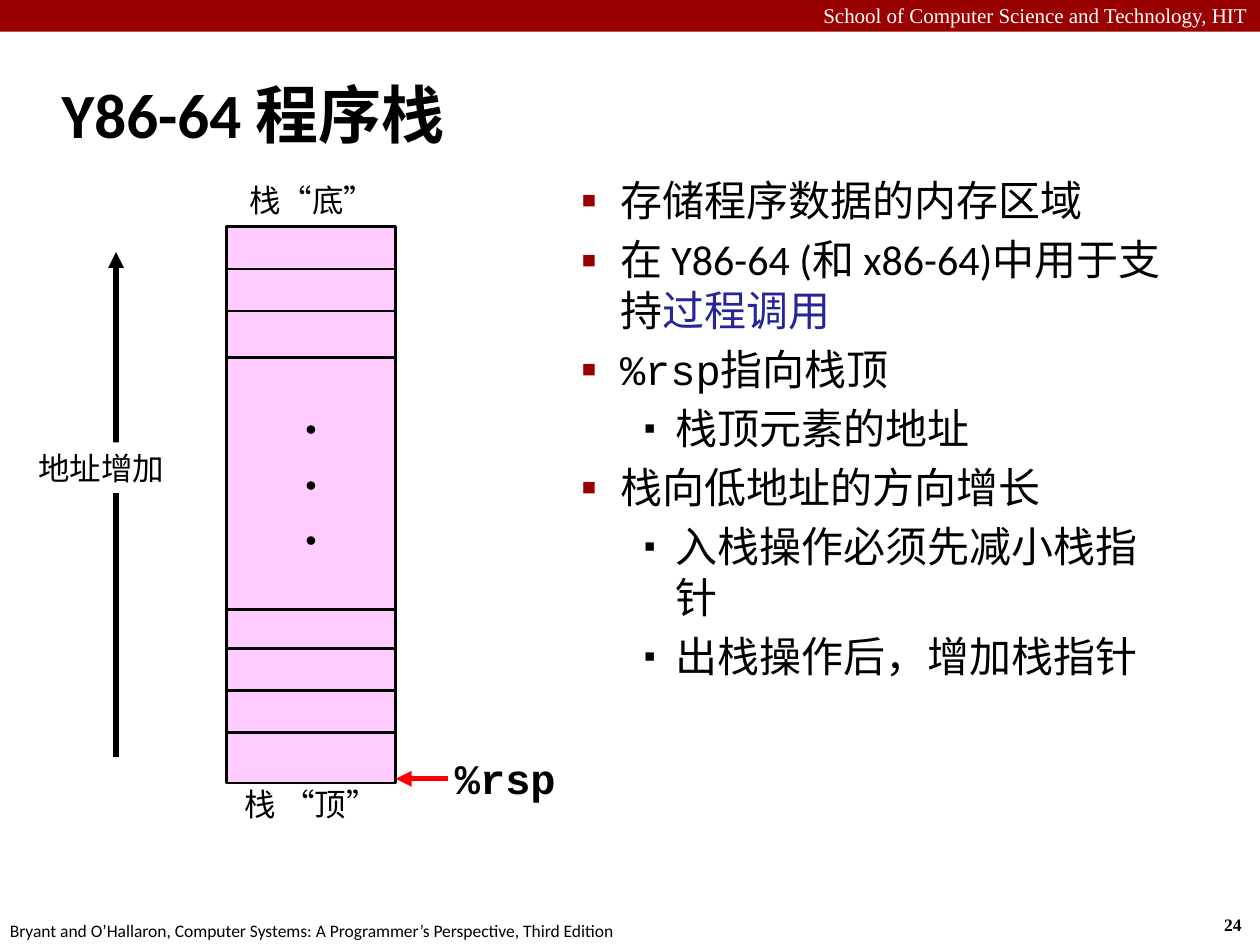
import dataclasses

import pptx
import pptx.dml.color
import pptx.enum.shapes
import pptx.enum.text
import pptx.oxml
import pptx.oxml.ns
import pptx.util

Cm, Pt = pptx.util.Cm, pptx.util.Pt
ALIGN = pptx.enum.text.PP_ALIGN
ANCHOR = pptx.enum.text.MSO_ANCHOR
AUTO = pptx.enum.text.MSO_AUTO_SIZE
RECT = pptx.enum.shapes.MSO_SHAPE.RECTANGLE
STRAIGHT = pptx.enum.shapes.MSO_CONNECTOR.STRAIGHT


@dataclasses.dataclass(frozen=True)
class Theme:
    ink: str = "000000"
    paper: str = "FFFFFF"
    brand: str = "990000"
    accent: str = "262699"
    cell: str = "FFCCFF"
    pointer: str = "FF0002"
    title_size: int = 36
    body_size: int = 24
    label_size: int = 18
    header_size: int = 12
    footer_size: int = 10
    sans: str = "Calibri"
    serif: str = "Times New Roman"
    mono: str = "Courier New"
    narrow: str = "Arial Narrow"


T = Theme()
INSET = 0.13
STACK_X, STACK_W = 4.57, 3.4
CELL_H, CELL_PITCH = 1.02, 0.85

# Level: left margin, hanging indent, bullet size in percent, bullet colour
LEVELS = {1: (2.06, -0.79, 110, T.brand), 2: (3.18, -0.64, 80, T.ink)}
POINTS = [
    (1, [("存储程序数据的内存区域", {})]),
    (1, [("在 Y86-64 (和 x86-64)中用于支持", {}), ("过程调用", {"color": T.accent})]),
    (1, [("%rsp", {"name": T.mono}), ("指向栈顶", {"name": T.mono})]),
    (2, [("栈顶元素的地址", {})]),
    (1, [("栈向低地址的方向增长", {})]),
    (2, [("入栈操作必须先减小栈指针", {})]),
    (2, [("出栈操作后，增加栈指针", {})]),
]


def rgb(value):
    return pptx.dml.color.RGBColor.from_string(value)


def set_all(obj, values):
    for name, value in values.items():
        setattr(obj, name, value)


def set_font(font, size, name, color=T.ink, bold=False):
    set_all(font, {"size": Pt(size), "name": name, "bold": bold})
    font.color.rgb = rgb(color)


def add_run(p, text, **style):
    r = p.add_run()
    r.text = text
    set_font(r.font, **style)


def set_indent(p, margin, hanging):
    pPr = p._p.get_or_add_pPr()
    pPr.set("marL", str(int(Cm(margin))))
    pPr.set("indent", str(int(Cm(hanging))))
    return pPr


def set_insets(tf, inset):
    sides = ("left", "top", "right", "bottom")
    set_all(tf, {f"margin_{side}": Cm(inset) for side in sides})


def add_rect(shapes, x, y, w, h, fill, line=None):
    sp = shapes.add_shape(RECT, Cm(x), Cm(y), Cm(w), Cm(h))
    sp.shadow.inherit = False
    sp.fill.solid()
    sp.fill.fore_color.rgb = rgb(fill)
    if line:
        sp.line.color.rgb = rgb(line)
        sp.line.width = Pt(1.5)
    else:
        sp.line.fill.background()
    return sp


def add_text(s, x, y, w, h, text, align=ALIGN.LEFT, wrap=True, inset=None, **style):
    tf = s.shapes.add_textbox(Cm(x), Cm(y), Cm(w), Cm(h)).text_frame
    set_all(tf, {"word_wrap": wrap, "auto_size": AUTO.SHAPE_TO_FIT_TEXT})
    if inset is not None:
        set_insets(tf, inset)
    p = tf.paragraphs[0]
    p.alignment = align
    add_run(p, text, **style)


def add_arrow(s, x1, y1, x2, y2, color):
    """Draw a line whose arrowhead is at its second point."""
    cx = s.shapes.add_connector(STRAIGHT, Cm(x1), Cm(y1), Cm(x2), Cm(y2))
    cx.line.color.rgb = rgb(color)
    cx.line.width = Pt(3)
    tail = pptx.oxml.parse_xml(
        f'<a:tailEnd {pptx.oxml.ns.nsdecls("a")} type="triangle"/>')
    cx.line._get_or_add_ln().append(tail)
    cx._element.spPr.append(pptx.oxml.parse_xml(
        f'<a:effectLst {pptx.oxml.ns.nsdecls("a")}/>'))


def add_bullet(p, level):
    margin, hanging, size, color = LEVELS[level]
    pPr = set_indent(p, margin, hanging)
    ns = pptx.oxml.ns.nsdecls("a")
    for xml in (
        f'<a:buClr {ns}><a:srgbClr val="{color}"/></a:buClr>',
        f'<a:buSzPct {ns} val="{size * 1000}"/>',
        f'<a:buFont {ns} typeface="Arial"/>',
        f'<a:buChar {ns} char="▪"/>',
    ):
        pPr.append(pptx.oxml.parse_xml(xml))


def add_points(s):
    tf = s.shapes.add_textbox(Cm(10.19), Cm(3.4), Cm(13.72), Cm(14.5)).text_frame
    tf.word_wrap = True
    for i, (level, runs) in enumerate(POINTS):
        p = tf.add_paragraph() if i else tf.paragraphs[0]
        p.level = level
        add_bullet(p, level)
        if i:
            p.space_before = Pt(5)
        for text, style in runs:
            add_run(p, text, **{"size": T.body_size, "name": T.sans, **style})


def add_stack(s):
    shapes = s.shapes.add_group_shape().shapes
    for top, count in ((4.57, 3), (12.22, 4)):
        for i in range(count):
            add_rect(shapes, STACK_X, top + i * CELL_PITCH, STACK_W, CELL_H,
                     T.cell, T.ink)
    tf = add_rect(shapes, STACK_X, 7.21, STACK_W, 5.08, T.cell, T.ink).text_frame
    tf.vertical_anchor = ANCHOR.MIDDLE
    set_insets(tf, INSET)
    for i in range(3):
        p = tf.add_paragraph() if i else tf.paragraphs[0]
        p.alignment = ALIGN.CENTER
        if i:
            p.space_before = Pt(10)
        add_run(p, "•", size=T.label_size, name=T.mono)


def add_title(s):
    sp = s.shapes.title
    set_all(sp, {"left": Cm(0.99), "top": Cm(1.22),
                 "width": Cm(24.41), "height": Cm(2.11)})
    tf = sp.text_frame
    set_all(tf, {"vertical_anchor": ANCHOR.MIDDLE, "auto_size": AUTO.NONE})
    p = tf.paragraphs[0]
    p.alignment = ALIGN.LEFT
    set_indent(p, 0.33, -0.33)
    add_run(p, "Y86-64 程序栈", size=T.title_size, name=T.sans, bold=True)


def add_frame(s):
    """Add the header band, page number and source line."""
    add_rect(s.shapes, 0, 0, 25.4, 0.64, T.brand)
    add_text(s, 0, -0.08, 25.4, 0.76,
             "School of Computer Science and Technology, HIT", align=ALIGN.RIGHT,
             size=T.header_size, name=T.serif, color=T.paper)
    add_text(s, 24.43, 18.31, 0.94, 0.69, "24", wrap=False,
             size=T.footer_size, name=T.serif, bold=True)
    add_text(s, -0.05, 18.42, 12.9, 0.69,
             "Bryant and O’Hallaron, Computer Systems: "
             "A Programmer’s Perspective, Third Edition",
             wrap=False, size=T.footer_size, name=T.sans)


def add_labels(s):
    label = {"inset": INSET, "size": T.label_size, "name": T.narrow}
    add_arrow(s, 2.34, 15.27, 2.34, 5.08, T.ink)
    tf = add_rect(s.shapes, 0.64, 8.92, 3.81, 1.02, T.paper).text_frame
    set_all(tf, {"word_wrap": True, "vertical_anchor": ANCHOR.TOP})
    set_insets(tf, INSET)
    tf.paragraphs[0].alignment = ALIGN.LEFT
    add_run(tf.paragraphs[0], "地址增加", size=T.label_size, name=T.narrow)
    add_text(s, STACK_X, 15.7, STACK_W, 1.02, "栈 “顶”", ALIGN.CENTER, **label)
    add_text(s, 4.62, 3.51, 3.35, 1.02, "栈“底”", ALIGN.CENTER, **label)
    add_arrow(s, 9.04, 15.7, 7.98, 15.7, T.pointer)
    add_text(s, 9.04, 15.04, 2.31, 1.27, "%rsp", wrap=False, inset=INSET,
             size=T.body_size, name=T.mono, bold=True)


def main():
    prs = pptx.Presentation()
    set_all(prs, {"slide_width": Cm(25.4), "slide_height": Cm(19.05)})
    s = prs.slides.add_slide(prs.slide_layouts[5])
    add_frame(s)
    add_title(s)
    add_points(s)
    add_stack(s)
    add_labels(s)
    prs.save("out.pptx")


if __name__ == "__main__":
    main()
